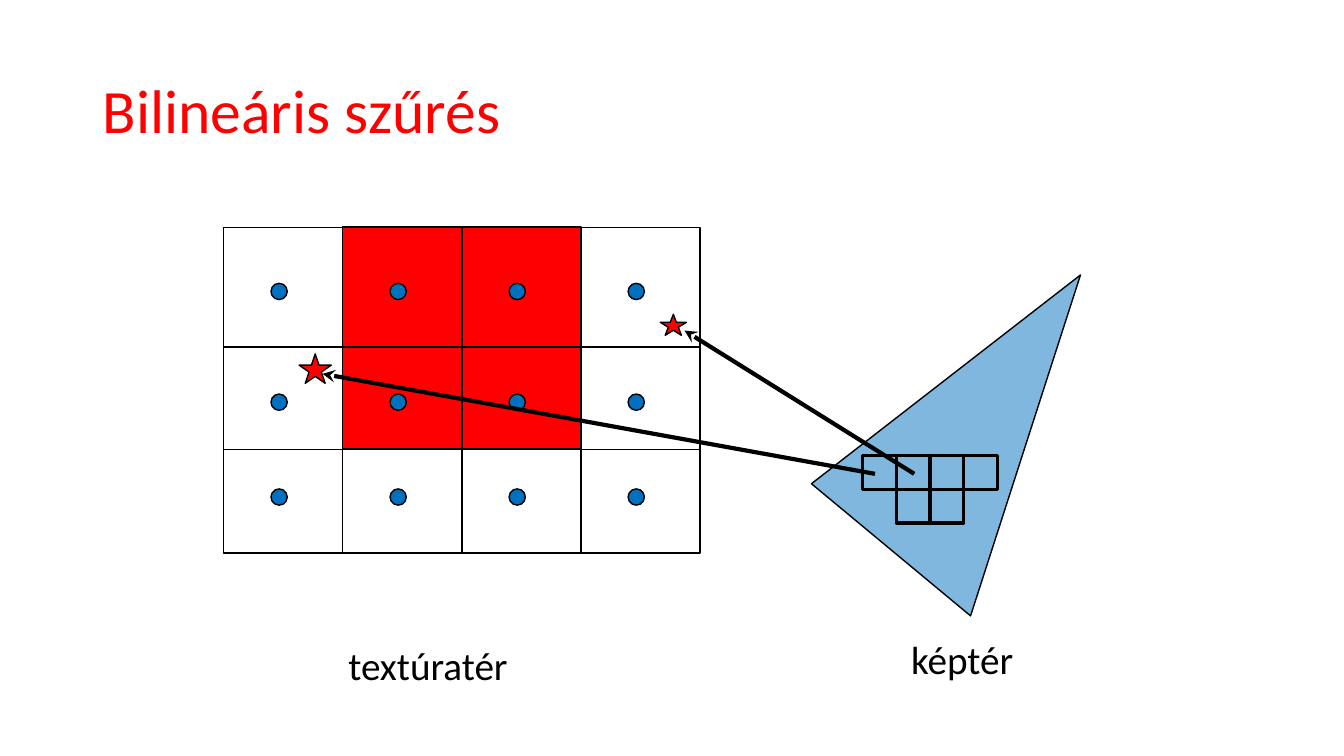
from dataclasses import dataclass

from lxml import etree
from pptx import Presentation
from pptx.dml.color import RGBColor
from pptx.enum.shapes import MSO_CONNECTOR, MSO_SHAPE
from pptx.enum.text import MSO_ANCHOR, MSO_AUTO_SIZE
from pptx.oxml.ns import qn
from pptx.shapes.autoshape import Shape
from pptx.slide import Slide
from pptx.util import Cm, Pt

RECTANGLE = MSO_SHAPE.RECTANGLE
OVAL = MSO_SHAPE.OVAL
STAR = MSO_SHAPE.STAR_5_POINT
STRAIGHT = MSO_CONNECTOR.STRAIGHT
MIDDLE = MSO_ANCHOR.MIDDLE
TOP = MSO_ANCHOR.TOP
FIT_SHAPE = MSO_AUTO_SIZE.SHAPE_TO_FIT_TEXT
NO_FIT = MSO_AUTO_SIZE.NONE

RED = RGBColor(0xFF, 0x00, 0x00)
BLUE = RGBColor(0x00, 0x70, 0xC0)
BLACK = RGBColor(0x00, 0x00, 0x00)


@dataclass(frozen=True)
class Box:
    """Position and size in centimetres."""
    left: float
    top: float
    width: float
    height: float

    def lengths(self) -> tuple[Cm, Cm, Cm, Cm]:
        return Cm(self.left), Cm(self.top), Cm(self.width), Cm(self.height)


@dataclass(frozen=True)
class Label:
    text: str
    box: Box
    size: int
    color: RGBColor
    frame_format: dict
    line_spacing: float = 1.0


@dataclass(frozen=True)
class Mapping:
    """Arrow from a pixel to its sample point in the texture."""
    pixel: tuple[float, float]
    sample: tuple[float, float]


TITLE_FORMAT = {"word_wrap": True, "auto_size": NO_FIT, "vertical_anchor": MIDDLE}
CAPTION_FORMAT = {"word_wrap": False, "auto_size": FIT_SHAPE, "vertical_anchor": TOP}

LABELS = [
    Label("Bilineáris szűrés", Box(2.34, 1.02, 29.2, 3.68), 44, RED, TITLE_FORMAT, 0.9),
    Label("textúratér", Box(8.53, 16.03, 4.57, 1.45), 28, BLACK, CAPTION_FORMAT),
    Label("képtér", Box(22.71, 15.88, 3.12, 1.45), 28, BLACK, CAPTION_FORMAT),
]

TEXEL_LEFT, TEXEL_TOP, TEXEL_WIDTH = 5.64, 5.74, 3.0
TEXEL_COLUMNS = 4
TEXTURE_HEIGHT = 8.2
MIDDLE_ROW = Box(TEXEL_LEFT, 8.74, TEXEL_COLUMNS * TEXEL_WIDTH, 2.59)
FILTERED_TEXELS = Box(TEXEL_LEFT + TEXEL_WIDTH, 5.72, 2 * TEXEL_WIDTH, 5.59)
CENTER_LEFT, CENTER_SIZE = 6.83, 0.41
CENTER_TOPS = (7.14, 9.93, 12.32)

TRIANGLE = [(24.46, 15.52), (20.45, 12.19), (27.23, 6.93)]
PIXEL_LEFT, PIXEL_TOP, PIXEL_SIZE = 21.74, 11.48, 0.85
PIXEL_ROWS = [range(4), range(1, 3)]

SAMPLE_STARS = [Box(7.54, 8.92, 0.81, 0.74), Box(16.64, 7.92, 0.66, 0.53)]
MAPPINGS = [
    Mapping((22.05, 11.94), (8.13, 9.42)),
    Mapping((23.04, 11.94), (17.25, 8.33)),
]


def style_outline(shape: Shape, fill: RGBColor | None, line_width: float) -> None:
    shape.shadow.inherit = False
    if fill is None:
        shape.fill.background()
    else:
        shape.fill.solid()
        shape.fill.fore_color.rgb = fill
    shape.line.color.rgb = BLACK
    shape.line.width = Pt(line_width)


def draw_shape(slide: Slide, kind: MSO_SHAPE, box: Box,
               fill: RGBColor | None = None, line_width: float = 1) -> None:
    style_outline(slide.shapes.add_shape(kind, *box.lengths()), fill, line_width)


def draw_texture(slide: Slide) -> None:
    draw_shape(slide, RECTANGLE, FILTERED_TEXELS, RED)
    for column in range(TEXEL_COLUMNS):
        left = TEXEL_LEFT + column * TEXEL_WIDTH
        draw_shape(slide, RECTANGLE, Box(left, TEXEL_TOP, TEXEL_WIDTH, TEXTURE_HEIGHT))
    draw_shape(slide, RECTANGLE, MIDDLE_ROW)
    for top in CENTER_TOPS:
        for column in range(TEXEL_COLUMNS):
            left = CENTER_LEFT + column * TEXEL_WIDTH
            draw_shape(slide, OVAL, Box(left, top, CENTER_SIZE, CENTER_SIZE), BLUE)


def draw_triangle(slide: Slide) -> None:
    first, *others = [(Cm(x), Cm(y)) for x, y in TRIANGLE]
    builder = slide.shapes.build_freeform(*first)
    builder.add_line_segments(others, close=True)
    triangle = builder.convert_to_shape()
    style_outline(triangle, BLUE, 1)
    fill_color = triangle._element.spPr.find(qn("a:solidFill"))[0]
    etree.SubElement(fill_color, qn("a:alpha"), val="50000")


def draw_pixels(slide: Slide) -> None:
    for row, columns in enumerate(PIXEL_ROWS):
        for column in columns:
            pixel = Box(PIXEL_LEFT + column * PIXEL_SIZE, PIXEL_TOP + row * PIXEL_SIZE,
                        PIXEL_SIZE, PIXEL_SIZE)
            draw_shape(slide, RECTANGLE, pixel, line_width=2.25)


def draw_mapping(slide: Slide, mapping: Mapping) -> None:
    ends = [Cm(value) for value in (*mapping.pixel, *mapping.sample)]
    arrow = slide.shapes.add_connector(STRAIGHT, *ends)
    arrow.line.color.rgb = BLACK
    arrow.line.width = Pt(3)
    etree.SubElement(arrow.line._get_or_add_ln(), qn("a:tailEnd"), type="stealth")
    etree.SubElement(arrow._element.spPr, qn("a:effectLst"))


def draw_label(slide: Slide, label: Label) -> None:
    frame = slide.shapes.add_textbox(*label.box.lengths()).text_frame
    for name, value in label.frame_format.items():
        setattr(frame, name, value)
    paragraph = frame.paragraphs[0]
    paragraph.line_spacing = label.line_spacing
    run = paragraph.add_run()
    run.text = label.text
    font_format = {"name": "Calibri", "size": Pt(label.size)}
    for name, value in font_format.items():
        setattr(run.font, name, value)
    run.font.color.rgb = label.color


def main() -> None:
    presentation = Presentation()
    presentation.slide_width = Cm(33.87)
    presentation.slide_height = Cm(19.05)
    slide = presentation.slides.add_slide(presentation.slide_layouts[6])
    draw_texture(slide)
    draw_triangle(slide)
    draw_pixels(slide)
    for star in SAMPLE_STARS:
        draw_shape(slide, STAR, star, RED)
    for mapping in MAPPINGS:
        draw_mapping(slide, mapping)
    for label in LABELS:
        draw_label(slide, label)
    presentation.save("out.pptx")


if __name__ == "__main__":
    main()
